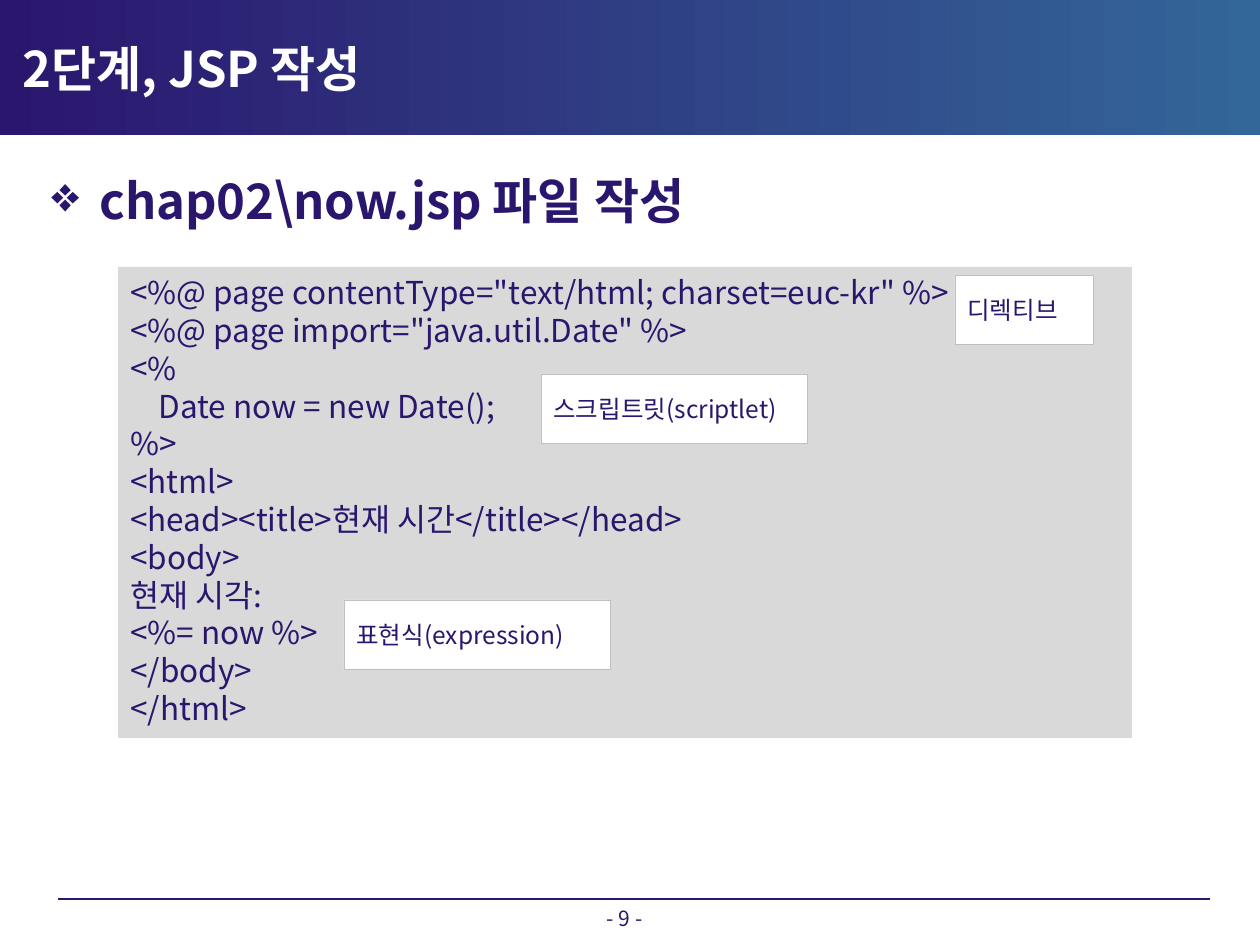
from lxml.etree import SubElement
from pptx import Presentation
from pptx.dml.color import RGBColor
from pptx.enum.shapes import MSO_CONNECTOR, MSO_SHAPE
from pptx.enum.text import MSO_ANCHOR, PP_ALIGN
from pptx.oxml.ns import qn
from pptx.util import Emu, Pt

NAVY = RGBColor(0x2B, 0x16, 0x6E)
BLUE = RGBColor(0x33, 0x66, 0x99)
WHITE = RGBColor(0xFF, 0xFF, 0xFF)
PANEL = RGBColor(0xD9, 0xD9, 0xD9)
BORDER = RGBColor(0xBF, 0xBF, 0xBF)
FONT = "Noto Sans CJK KR"
PX_PER_INCH = 126

CODE = [
    '<%@ page contentType="text/html; charset=euc-kr" %>',
    '<%@ page import="java.util.Date" %>',
    "<%",
    "\tDate now = new Date();",
    "%>",
    "<html>",
    "<head><title>현재 시간</title></head>",
    "<body>",
    "현재 시각:",
    "<%= now %>",
    "</body>",
    "</html>",
]
CALLOUTS = [
    ("스크립트릿(scriptlet)", 541, 374, 266),
    ("디렉티브", 955, 275, 138),
    ("표현식(expression)", 344, 600, 266),
]


def px(length):
    return Emu(round(length * 914400 / PX_PER_INCH))


def assign(target, values):
    for name, value in values.items():
        setattr(target, name, value)


class SlideBuilder:
    def __init__(self, slide):
        self.slide = slide

    def fill_text(self, frame, lines, size, color=NAVY, bold=False,
                  align=PP_ALIGN.LEFT, anchor=MSO_ANCHOR.TOP, spacing=None):
        assign(frame, {"word_wrap": True, "vertical_anchor": anchor})
        for number, line in enumerate(lines):
            paragraph = frame.add_paragraph() if number else frame.paragraphs[0]
            assign(paragraph, {"alignment": align, "line_spacing": spacing})
            if line.startswith("\t"):
                paragraph._p.get_or_add_pPr().set("marL", str(px(28)))
            run = paragraph.add_run()
            run.text = line.strip()
            assign(run.font, {"name": FONT, "size": Pt(size), "bold": bold})
            run.font.color.rgb = color
            SubElement(run._r.get_or_add_rPr(), qn("a:ea"), typeface=FONT)

    def box(self, x, y, width, height, fill=None, border=None):
        shape = self.slide.shapes.add_shape(
            MSO_SHAPE.RECTANGLE, px(x), px(y), px(width), px(height))
        shape.shadow.inherit = False
        if fill is not None:
            shape.fill.solid()
            shape.fill.fore_color.rgb = fill
        if border is None:
            shape.line.fill.background()
        else:
            shape.line.color.rgb = border
            shape.line.width = Pt(0.25)
        return shape

    def banner(self, width, height):
        fill = self.box(0, 0, width, height).fill
        fill.gradient()
        fill.gradient_angle = 0
        for stop, color in zip(fill.gradient_stops, (NAVY, BLUE)):
            stop.color.rgb = color

    def title(self, text, x, y, width, height):
        title = self.slide.shapes.title
        assign(title, {"left": px(x), "top": px(y),
                       "width": px(width), "height": px(height)})
        self.slide.shapes._spTree.append(title._element)
        self.fill_text(title.text_frame, [text], 28, WHITE, True,
                       anchor=MSO_ANCHOR.MIDDLE)

    def text(self, text, x, y, width, height, size, **style):
        frame = self.slide.shapes.add_textbox(
            px(x), px(y), px(width), px(height)).text_frame
        self.fill_text(frame, [text], size, **style)
        return frame

    def bullet(self, text, x, y, width, height):
        frame = self.text(text, x, y, width, height, 28, bold=True)
        paragraph = frame.paragraphs[0]
        paragraph.space_before = Pt(5.6)
        properties = paragraph._p.get_or_add_pPr()
        for name, value in {"marL": px(48), "indent": -px(48)}.items():
            properties.set(name, str(value))
        bullet_color = SubElement(properties, qn("a:buClr"))
        SubElement(bullet_color, qn("a:srgbClr"), val=str(NAVY))
        SubElement(properties, qn("a:buChar"), char="❖")

    def rule(self, x1, x2, y):
        rule = self.slide.shapes.add_connector(
            MSO_CONNECTOR.STRAIGHT, px(x1), px(y), px(x2), px(y))
        rule.line.color.rgb = NAVY
        rule.line.width = Pt(0.75)
        SubElement(rule._element.spPr, qn("a:effectLst"))

    def page_number(self, text, x, y, width, height):
        frame = self.text(text, x, y, width, height, 12, align=PP_ALIGN.CENTER)
        assign(frame, {"margin_top": 0, "margin_bottom": 0})

    def code(self, lines, x, y, width, height):
        panel = self.box(x, y, width, height, PANEL)
        self.fill_text(panel.text_frame, lines, 18, spacing=Pt(21.6))

    def callout(self, text, x, y, width):
        label = self.box(x, y, width, 69, WHITE, BORDER)
        self.fill_text(label.text_frame, [text], 14, anchor=MSO_ANCHOR.MIDDLE)


def main():
    deck = Presentation()
    assign(deck, {"slide_width": px(1260), "slide_height": px(945)})
    page = SlideBuilder(deck.slides.add_slide(deck.slide_layouts[5]))
    page.rule(58, 1210, 899)
    page.banner(1260, 135)
    page.page_number("- 9 -", 501, 906, 247, 28)
    page.title("2단계, JSP 작성", 10, 29, 945, 78)
    page.bullet("chap02\\now.jsp 파일 작성", 39, 164, 1172, 702)
    page.code(CODE, 118, 267, 1014, 471)
    for callout in CALLOUTS:
        page.callout(*callout)
    deck.save("out.pptx")


if __name__ == "__main__":
    main()
